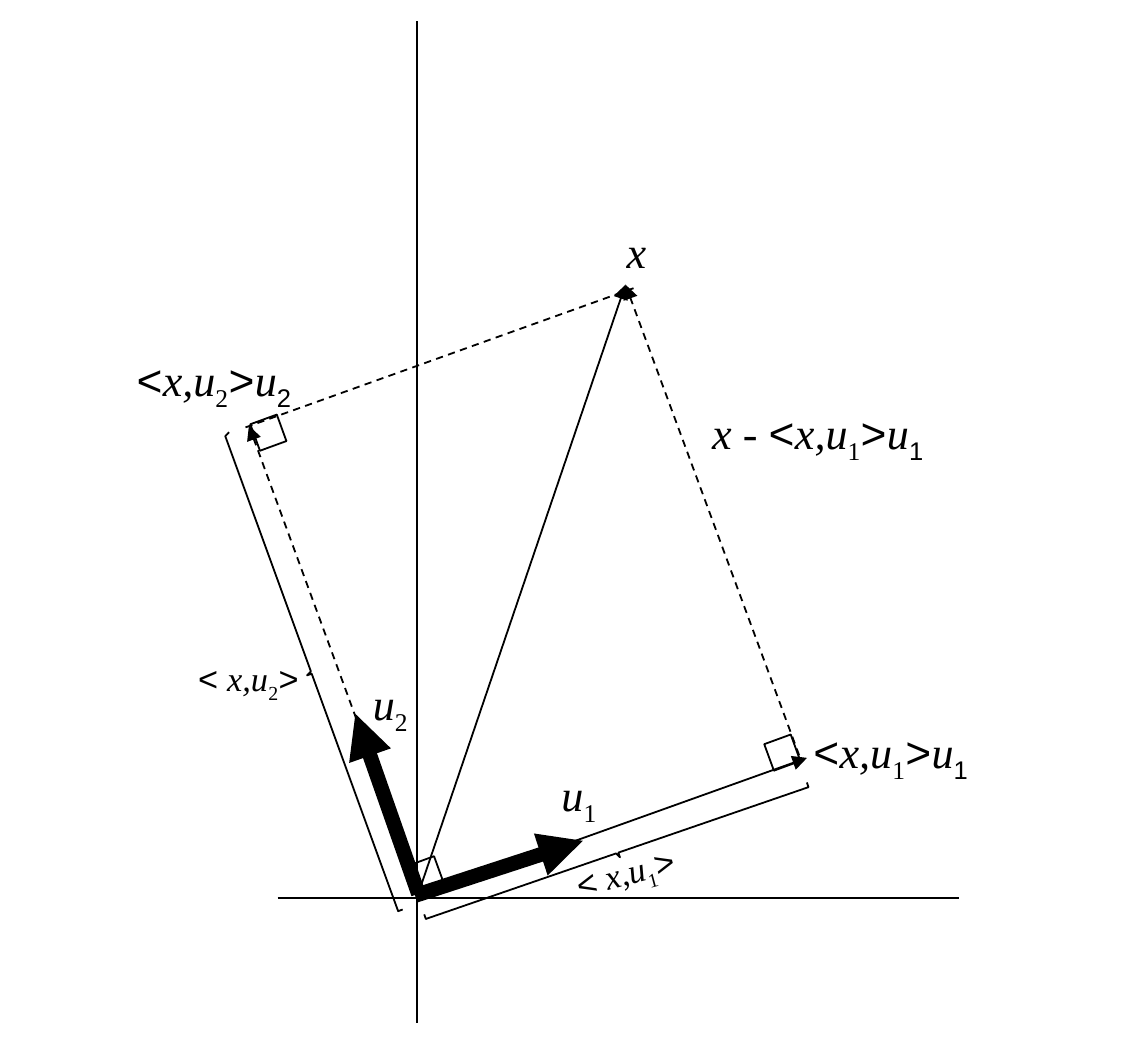
from lxml import etree
from pptx import Presentation
from pptx.dml.color import RGBColor
from pptx.enum.dml import MSO_LINE
from pptx.enum.shapes import MSO_CONNECTOR, MSO_SHAPE
from pptx.enum.text import MSO_AUTO_SIZE
from pptx.oxml.ns import qn
from pptx.util import Pt

STRAIGHT = MSO_CONNECTOR.STRAIGHT
RECTANGLE = MSO_SHAPE.RECTANGLE
DASH = MSO_LINE.DASH
FIT_SHAPE = MSO_AUTO_SIZE.SHAPE_TO_FIT_TEXT


class Theme:
    ink = RGBColor(0, 0, 0)
    serif, mono, sans = "Times New Roman", "Courier New", "Arial"
    label_size, length_size = 18, 14
    thin, thick = 0.75, 6
    subscript = "-25000"


SLIDE_SIZE = (468, 425.5)
ORIGIN = (170, 365.8)
X_TIP = (255, 116)

# start, end, weight, dashed, arrow end (headEnd is at the start)
LINES = [
    ((113.2, 366), (391, 366), Theme.thin, False, None),
    ((170.1, 416.9), (170.1, 8.6), Theme.thin, False, None),
    ((169.2, 365), (237.6, 342.7), Theme.thick, False, "tailEnd"),
    (ORIGIN, X_TIP, Theme.thin, False, "tailEnd"),
    (ORIGIN, (329, 308.9), Theme.thin, False, "tailEnd"),
    (X_TIP, (326.2, 308.9), Theme.thin, True, "headEnd"),
    ((170.6, 364.3), (144.9, 291), Theme.thick, False, "tailEnd"),
    ((101.5, 173.5), (171.4, 364.3), Theme.thin, True, "headEnd"),
    ((100.1, 174.2), (258.5, 117.4), Theme.thin, True, None),
]

RIGHT_ANGLES = [(313.2, 301), (167.8, 350.6), (103.7, 170.6)]
RIGHT_ANGLE_SIDE, RIGHT_ANGLE_TURN = 11.5, 340

# left, top, length, rotation
BRACES = [(249.6, 265.2, 164.9, 71), (124.9, 170.6, 206.6, 160)]
BRACE_DEPTH, BRACE_CURVE = 3.6, 0.3

# text pieces: (text, font, italic, subscript)
LESS = ("<", Theme.mono, False, False)
MORE = (">", Theme.mono, False, False)
U = ("u", Theme.serif, True, False)
X_U = ("x,u", Theme.serif, True, False)
SPACED_X_U = (" x,u", Theme.serif, True, False)


def index(digit, font=Theme.serif):
    return (digit, font, False, True)


def projection(digit):
    return [LESS, X_U, index(digit), MORE, U, index(digit, Theme.sans)]


def length(digit):
    return [LESS, SPACED_X_U, index(digit), MORE]


DIFFERENCE = [("x ", Theme.serif, True, False),
              ("- ", Theme.serif, False, False)] + projection("1")

# pieces, (left, top, width, height), size, rotation, wrap
LABELS = [
    ([U, index("1")], (221.8, 309.1, 28.8, 31.7), Theme.label_size, 0, False),
    ([("x", Theme.serif, True, False)], (248.4, 87.8, 22.3, 28.8),
     Theme.label_size, 0, False),
    (projection("1"), (324.4, 291.6, 92, 31.7), Theme.label_size, 0, True),
    (DIFFERENCE, (283.2, 161.5, 147.6, 31.7), Theme.label_size, 0, True),
    ([U, index("2")], (144.9, 272.2, 28.8, 31.7), Theme.label_size, 0, False),
    (length("1"), (227.5, 343.4, 55.4, 26.6), Theme.length_size, 345, False),
    (projection("2"), (48.5, 139.9, 92, 31.7), Theme.label_size, 0, True),
    (length("2"), (73.6, 264.5, 57, 26.6), Theme.length_size, 0, True),
]


def style_line(line, weight):
    line.color.rgb = Theme.ink
    line.width = Pt(weight)


def draw_line(page, start, end, weight, dashed, arrow):
    connector = page.shapes.add_connector(
        STRAIGHT, *(Pt(value) for value in start + end))
    style_line(connector.line, weight)
    if dashed:
        connector.line.dash_style = DASH
    if arrow:
        outline = connector.line._get_or_add_ln()
        etree.SubElement(outline, qn("a:" + arrow), type="triangle")
    etree.SubElement(connector._element.spPr, qn("a:effectLst"))


def draw_outline(shape, rotation):
    """Leave the shape unfilled, with a thin line, and turn it."""
    shape.shadow.inherit = False
    shape.fill.background()
    style_line(shape.line, Theme.thin)
    shape.rotation = rotation


def draw_right_angle(page, left, top):
    square = page.shapes.add_shape(
        RECTANGLE, Pt(left), Pt(top), Pt(RIGHT_ANGLE_SIDE), Pt(RIGHT_ANGLE_SIDE))
    draw_outline(square, RIGHT_ANGLE_TURN)


def draw_brace(page, left, top, span_length, rotation):
    spine, middle = BRACE_DEPTH / 2, span_length / 2
    points = [
        (spine, BRACE_CURVE), (spine, middle - BRACE_CURVE),
        (BRACE_DEPTH, middle), (spine, middle + BRACE_CURVE),
        (spine, span_length - BRACE_CURVE), (0, span_length),
    ]
    builder = page.shapes.build_freeform(0, 0, scale=Pt(1))
    builder.add_line_segments(points, close=False)
    draw_outline(builder.convert_to_shape(Pt(left), Pt(top)), rotation)


def draw_label(page, pieces, place, size, rotation, wrap):
    box = page.shapes.add_textbox(*(Pt(value) for value in place))
    box.rotation = rotation
    box.text_frame.word_wrap = wrap
    box.text_frame.auto_size = FIT_SHAPE
    para = box.text_frame.paragraphs[0]
    for text, font, italic, subscript in pieces:
        span = para.add_run()
        span.text = text
        span.font.name = font
        span.font.size = Pt(size)
        span.font.italic = italic
        span.font.color.rgb = Theme.ink
        if subscript:
            span._r.get_or_add_rPr().set("baseline", Theme.subscript)


def main():
    deck = Presentation()
    deck.slide_width, deck.slide_height = (Pt(value) for value in SLIDE_SIZE)
    page = deck.slides.add_slide(deck.slide_layouts[6])
    for draw, items in ((draw_line, LINES), (draw_right_angle, RIGHT_ANGLES),
                        (draw_brace, BRACES), (draw_label, LABELS)):
        for item in items:
            draw(page, *item)
    deck.save("out.pptx")


if __name__ == "__main__":
    main()
